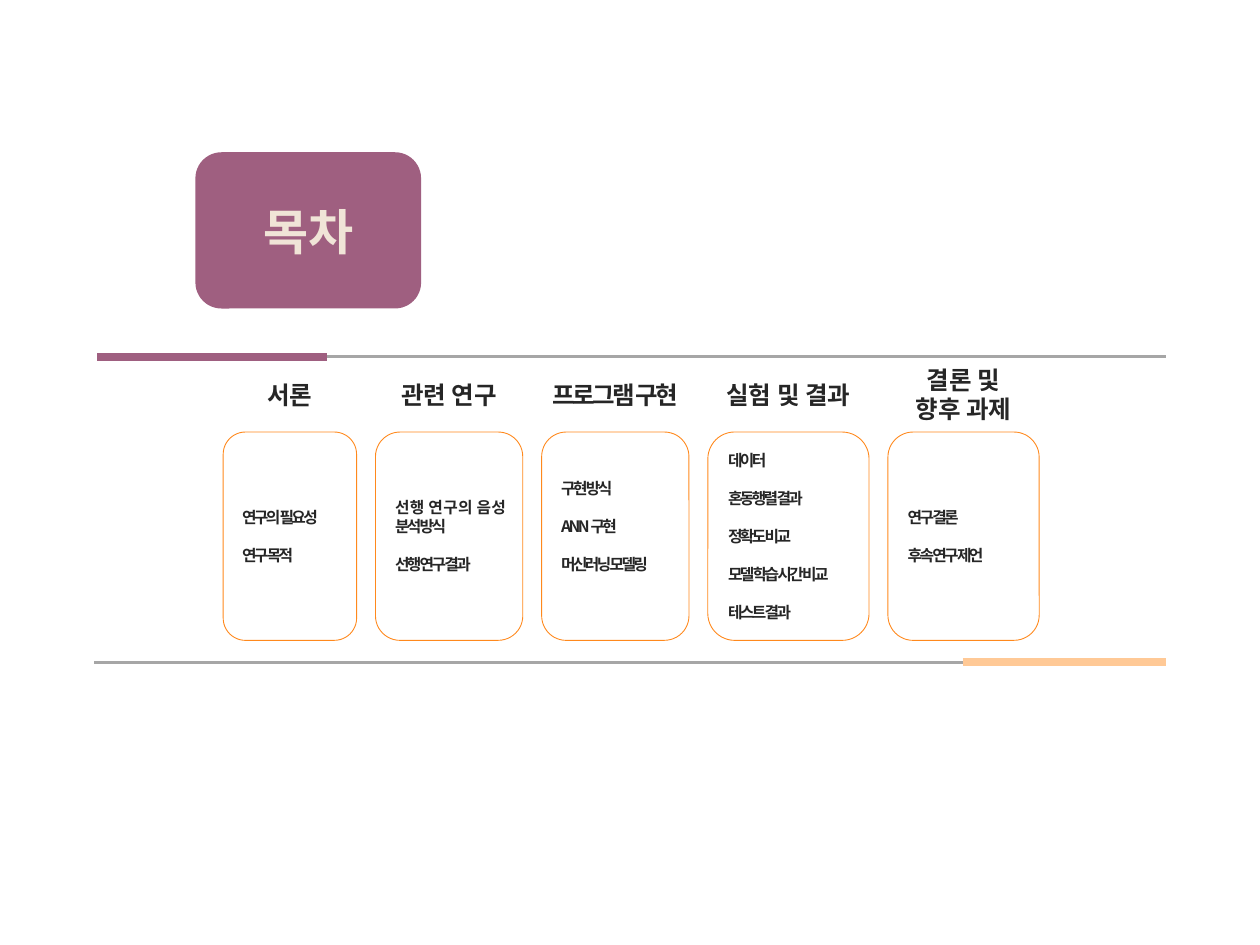
from dataclasses import dataclass

from lxml.etree import SubElement
from pptx import Presentation
from pptx.dml.color import RGBColor
from pptx.enum.shapes import MSO_CONNECTOR, MSO_SHAPE
from pptx.enum.text import MSO_ANCHOR, MSO_AUTO_SIZE, PP_ALIGN
from pptx.oxml.ns import qn
from pptx.util import Cm, Pt


@dataclass(frozen=True)
class Theme:
    """Colours, type sizes and line widths of the slide."""
    font: str = "Noto Sans CJK KR"
    ink: RGBColor = RGBColor(0x26, 0x26, 0x26)
    plum: RGBColor = RGBColor(0x9F, 0x5F, 0x80)
    cream: RGBColor = RGBColor(0xF0, 0xE4, 0xD7)
    grey: RGBColor = RGBColor(0xA6, 0xA6, 0xA6)
    peach: RGBColor = RGBColor(0xFF, 0xC9, 0x96)
    orange: RGBColor = RGBColor(0xFF, 0x89, 0x1D)
    title: Pt = Pt(28)
    heading: Pt = Pt(14)
    item: Pt = Pt(9)
    item_gap: Pt = Pt(10.9)
    thin: Pt = Pt(1.5)
    thick: Pt = Pt(4.5)
    outline: Pt = Pt(0.5)
    tight: int = -150


THEME = Theme()
CARD_GAP = 0.38
SECTIONS = [
    {"heading": ["서론"], "heading_width": 2.69, "width": 2.69,
     "items": ["연구의  필요성", "연구 목적"]},
    {"heading": ["관련 연구"], "heading_width": 3.3, "width": 2.97,
     "items": ["선행 연구의 음성 분석 방식", "선행 연구 결과"]},
    {"heading": ["프로그램 구현"], "heading_width": 3.4, "width": 2.97,
     "items": ["구현 방식", "ANN 구현", "머신러닝 모델링"],
     "tracking": THEME.tight, "bottom": 0.51},
    {"heading": ["실험 및 결과"], "heading_width": 3.68, "width": 3.25,
     "items": ["데이터", "혼동행렬 결과", "정확도 비교", "모델 학습 시간 비교", "테스트 결과"]},
    {"heading": ["결론 및", "향후 과제"], "heading_width": 3.4, "width": 3.05,
     "items": ["연구 결론", "후속 연구 제언"]},
]


def apply(target, **values):
    """Set each named attribute on the target."""
    for name, value in values.items():
        setattr(target, name, value)


def write(frame, lines, size, color, align, tracking=0, gap=Pt(0)):
    """Fill a text frame with bold, vertically centred paragraphs."""
    apply(frame, vertical_anchor=MSO_ANCHOR.MIDDLE, auto_size=MSO_AUTO_SIZE.NONE)
    for index, line in enumerate(lines):
        paragraph = frame.add_paragraph() if index else frame.paragraphs[0]
        apply(paragraph, alignment=align, space_before=gap if index else Pt(0))
        run = paragraph.add_run()
        run.text = line
        apply(run.font, name=THEME.font, size=size, bold=True)
        run.font.color.rgb = color
        properties = run.font._element
        SubElement(properties, qn("a:ea")).set("typeface", THEME.font)
        if tracking:
            properties.set("spc", str(tracking))


def add_rounded(slide, left, top, width, height):
    """Add a rounded rectangle without a shadow."""
    panel = slide.shapes.add_shape(
        MSO_SHAPE.ROUNDED_RECTANGLE, Cm(left), Cm(top), Cm(width), Cm(height))
    panel.shadow.inherit = False
    return panel


def add_rule(slide, start, end, y, color, weight):
    """Add a horizontal rule."""
    rule = slide.shapes.add_connector(
        MSO_CONNECTOR.STRAIGHT, Cm(start), Cm(y), Cm(end), Cm(y))
    rule.line.color.rgb = color
    rule.line.width = weight
    SubElement(rule.element.spPr, qn("a:effectLst"))


def add_title(slide, left, top, width, height):
    """Set the slide title on a plum panel."""
    panel = add_rounded(slide, left, top, width, height)
    panel.fill.solid()
    panel.fill.fore_color.rgb = THEME.plum
    panel.line.fill.background()
    title = slide.shapes.title
    apply(title, left=panel.left, top=panel.top, width=panel.width, height=panel.height)
    write(title.text_frame, ["목차"], THEME.title, THEME.cream, PP_ALIGN.CENTER)
    title.element.getparent().append(title.element)


def add_heading(slide, section, center, middle):
    """Add a section heading centred on a point."""
    width = section["heading_width"]
    height = 0.28 + 0.58 * len(section["heading"])
    heading = slide.shapes.add_textbox(
        Cm(center - width / 2), Cm(middle - height / 2), Cm(width), Cm(height))
    heading.text_frame.word_wrap = True
    write(heading.text_frame, section["heading"], THEME.heading, THEME.ink,
          PP_ALIGN.CENTER, section.get("tracking", 0))


def add_card(slide, section, left, top, height):
    """Add an outlined card listing the items of a section."""
    card = add_rounded(slide, left, top, section["width"], height)
    card.fill.background()
    card.line.color.rgb = THEME.orange
    card.line.width = THEME.outline
    apply(card.text_frame, word_wrap=True, margin_bottom=Cm(section.get("bottom", 0.13)))
    write(card.text_frame, section["items"], THEME.item, THEME.ink,
          PP_ALIGN.JUSTIFY, THEME.tight, THEME.item_gap)


def add_sections(slide, left, top, height):
    """Lay out the headings and cards in a row with equal gaps."""
    for section in SECTIONS:
        add_heading(slide, section, left + section["width"] / 2, top + 0.95)
        add_card(slide, section, left, top + 1.71, height - 1.71)
        left += section["width"] + CARD_GAP


def main():
    """Build and save the contents slide."""
    deck = Presentation()
    apply(deck, slide_width=Cm(25.4), slide_height=Cm(19.05))
    slide = deck.slides.add_slide(deck.slide_layouts[5])
    add_rule(slide, 6.25, 23.5, 7.19, THEME.grey, THEME.thin)
    add_rule(slide, 1.96, 6.6, 7.19, THEME.plum, THEME.thick)
    add_rule(slide, 1.9, 19.86, 13.36, THEME.grey, THEME.thin)
    add_rule(slide, 19.41, 23.5, 13.34, THEME.peach, THEME.thick)
    add_sections(slide, 4.5, 7, 5.91)
    add_title(slide, 3.94, 3.07, 4.55, 3.15)
    deck.save("out.pptx")


if __name__ == "__main__":
    main()
